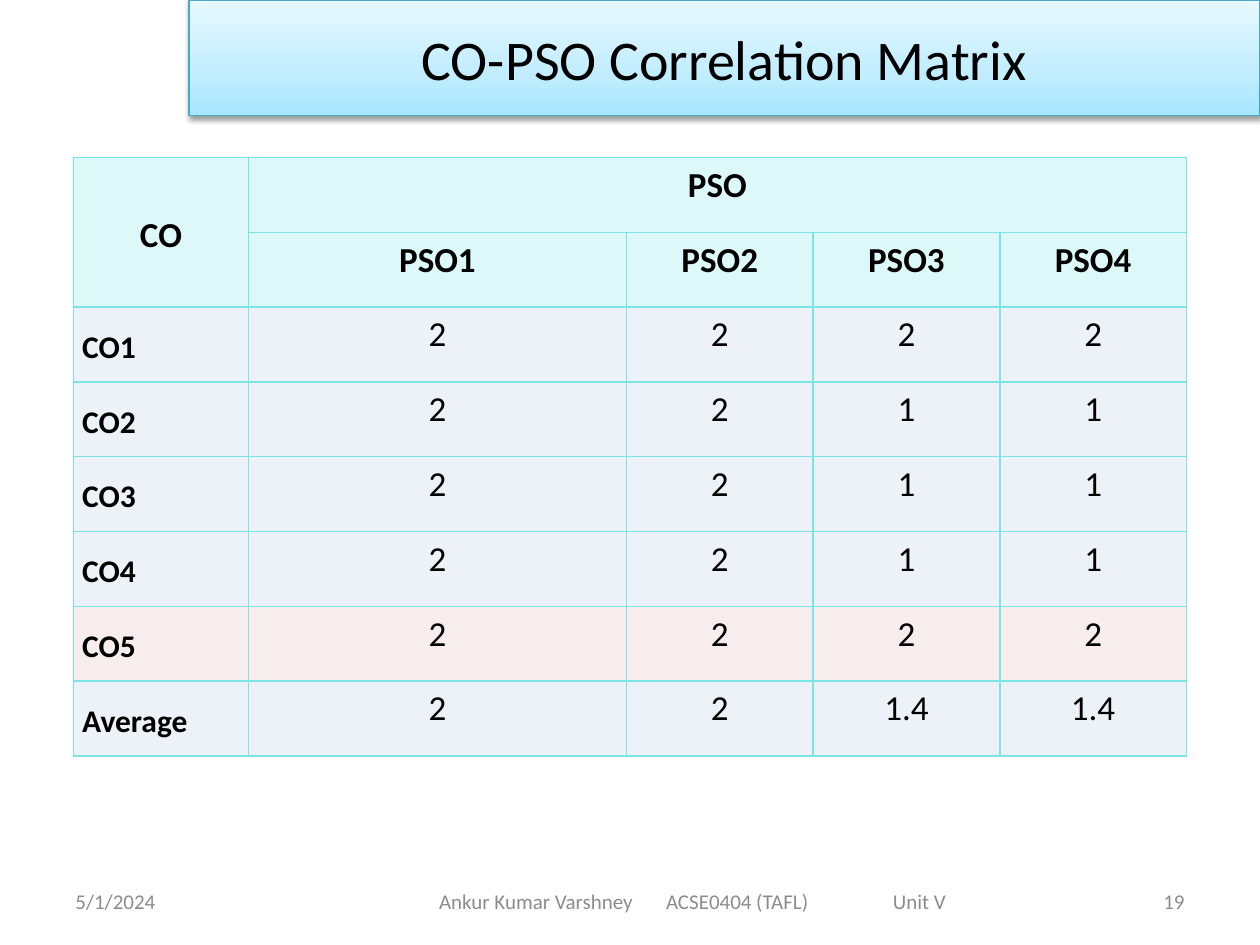
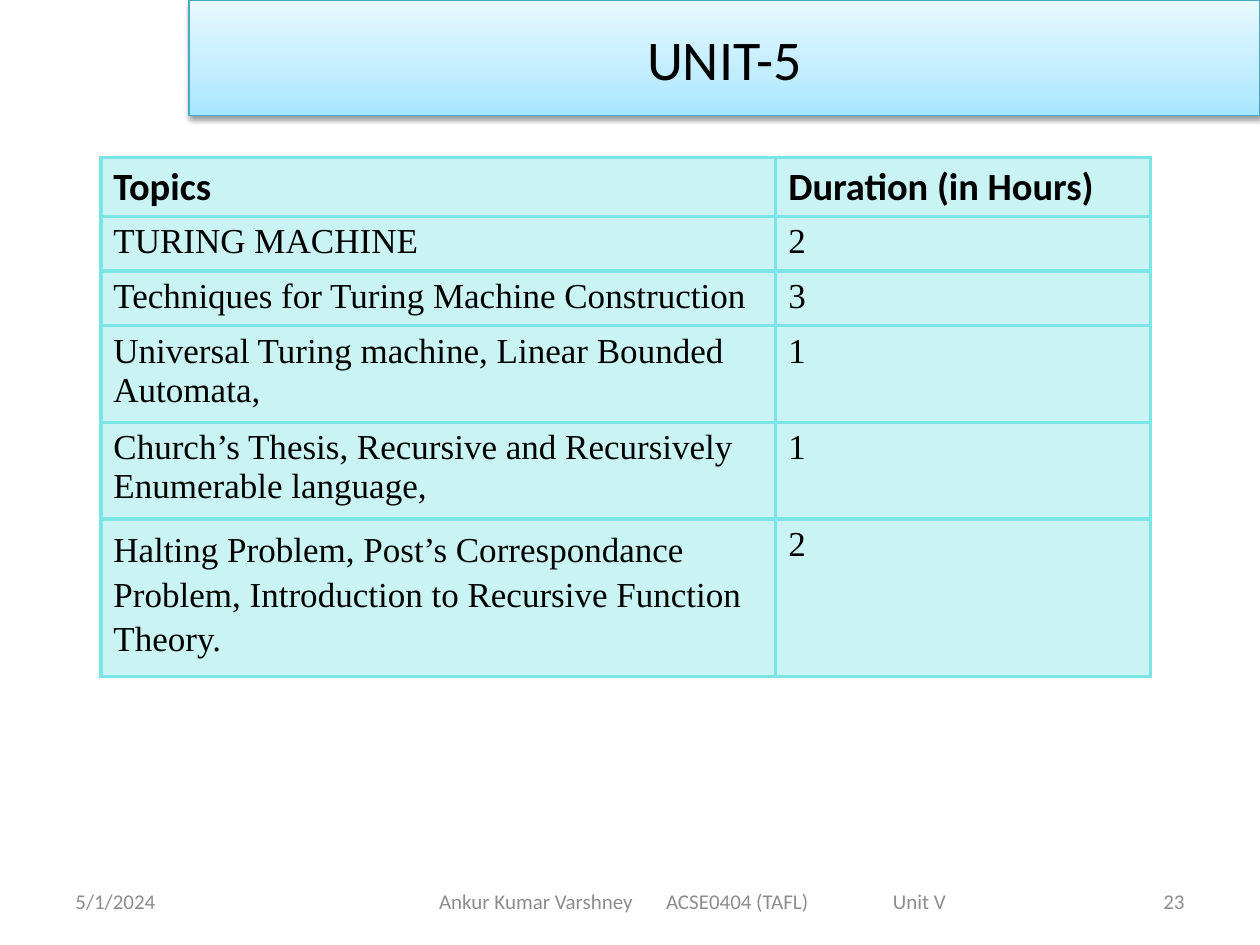
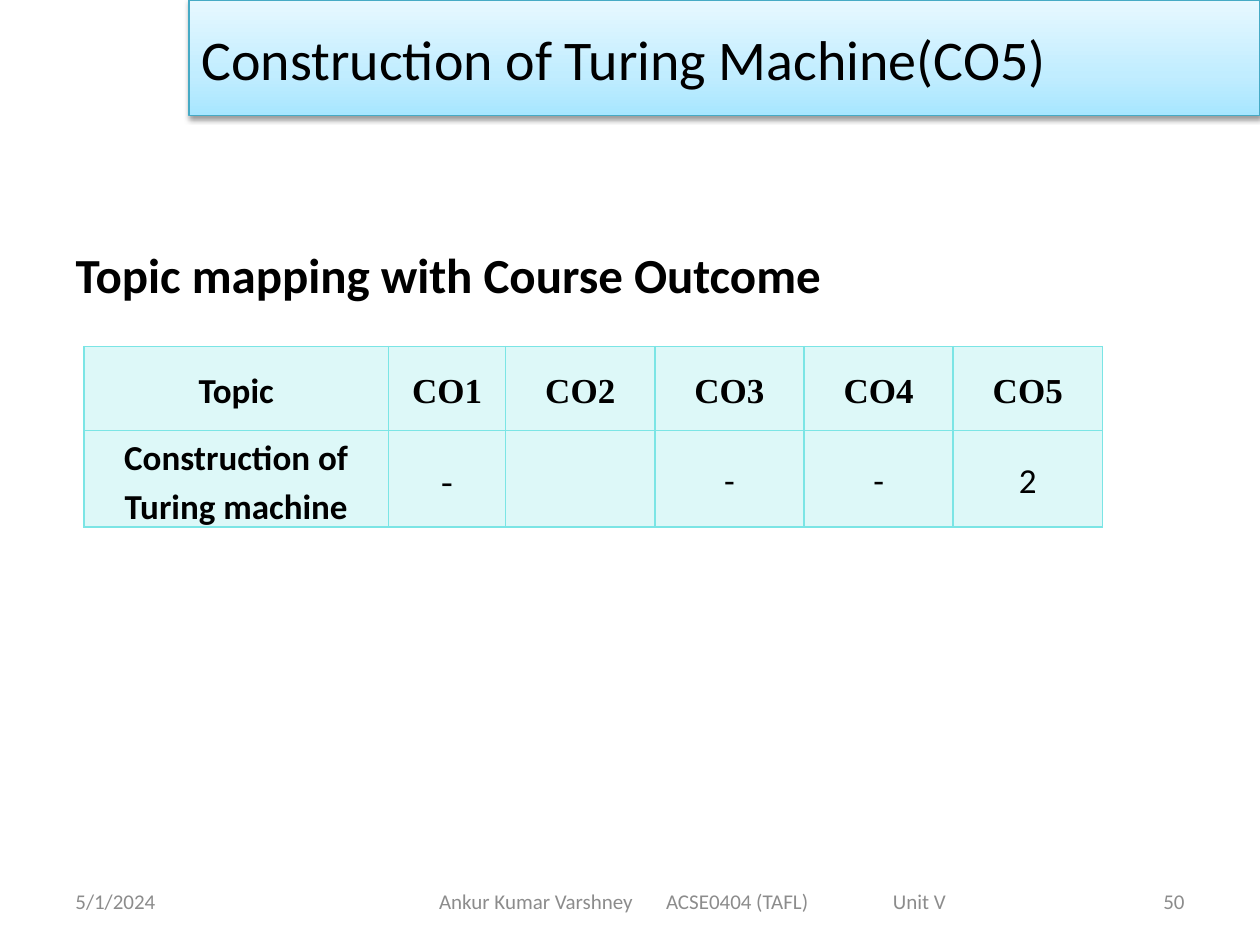
from dataclasses import dataclass

from pptx import Presentation
from pptx.dml.color import RGBColor
from pptx.enum.text import MSO_ANCHOR, MSO_AUTO_SIZE, PP_ALIGN
from pptx.oxml import parse_xml
from pptx.oxml.ns import nsdecls
from pptx.util import Pt

LEFT, CENTER, RIGHT = PP_ALIGN.LEFT, PP_ALIGN.CENTER, PP_ALIGN.RIGHT
TOP, MIDDLE = MSO_ANCHOR.TOP, MSO_ANCHOR.MIDDLE
NO_AUTOFIT = MSO_AUTO_SIZE.NONE
TITLE_AND_BODY, TITLE_ONLY = 1, 5
NS = nsdecls("a")


@dataclass(frozen=True)
class Theme:
    sans: str = "Calibri"
    serif: str = "Times New Roman"
    ink: str = "000000"
    muted: str = "8C8C8C"
    aqua: str = "7BE5E5"
    blue: str = "B9CDE5"
    rose: str = "E6B9B8"
    band_line: str = "46AAC5"
    band_stops: tuple = ((0, "A7E6FF"), (35, "C1EDFF"), (100, "E7F8FF"))
    title: int = 32
    heading: int = 28
    table_head: int = 22
    table: int = 20
    row_label: int = 18
    footer: int = 12


T = Theme()


def solid_fill(color, alpha=100):
    return (f'<a:solidFill {NS}><a:srgbClr val="{color}">'
            f'<a:alpha val="{alpha * 1000}"/></a:srgbClr></a:solidFill>')


class Deck:
    def __init__(self):
        self.prs = Presentation()
        self.prs.slide_width, self.prs.slide_height = Pt(720), Pt(540)
        self.s = None

    def slide(self, title, number, layout=TITLE_ONLY, align=CENTER):
        self.s = self.prs.slides.add_slide(self.prs.slide_layouts[layout])
        self.title_band(title, align)
        self.footer(number)

    def place(self, sp, left, top, width, height):
        sp.left, sp.top, sp.width, sp.height = Pt(left), Pt(top), Pt(width), Pt(height)

    def run(self, p, text, size, font=T.sans, bold=False, color=T.ink):
        r = p.add_run()
        r.text = text
        r.font.name, r.font.size, r.font.bold = font, Pt(size), bold
        r.font.color.rgb = RGBColor.from_string(color)

    def title_band(self, text, align):
        sp = self.s.shapes.title
        self.place(sp, 108, 0, 612, 66)
        stops = "".join(f'<a:gs pos="{pos * 1000}"><a:srgbClr val="{color}"/></a:gs>'
                        for pos, color in T.band_stops)
        props = sp._element.spPr
        props.append(parse_xml(f'<a:gradFill {NS}><a:gsLst>{stops}</a:gsLst>'
                               '<a:lin ang="16200000" scaled="0"/></a:gradFill>'))
        sp.line.color.rgb = RGBColor.from_string(T.band_line)
        sp.line.width = Pt(0.75)
        props.append(parse_xml(
            f'<a:effectLst {NS}><a:outerShdw blurRad="{Pt(3.1)}" dist="{Pt(1.6)}" '
            'dir="5400000" rotWithShape="0"><a:srgbClr val="000000">'
            '<a:alpha val="38000"/></a:srgbClr></a:outerShdw></a:effectLst>'))
        tf = sp.text_frame
        tf.auto_size, tf.vertical_anchor = NO_AUTOFIT, MIDDLE
        p = tf.paragraphs[0]
        p.alignment = align
        self.run(p, text, T.title)

    def footer_box(self, left, width, text, align):
        sp = self.s.shapes.add_textbox(Pt(left), Pt(500.5), Pt(width), Pt(28.75))
        tf = sp.text_frame
        tf.word_wrap, tf.vertical_anchor = True, MIDDLE
        p = tf.paragraphs[0]
        p.alignment = align
        self.run(p, text, T.footer, color=T.muted)
        return tf

    def footer(self, number):
        self.footer_box(36, 168, "5/1/2024", LEFT)
        tf = self.footer_box(198, 396, "Ankur Kumar Varshney\tACSE0404 (TAFL)\tUnit V", LEFT)
        tf.margin_left = Pt(52.9)
        tabs = "".join(f'<a:tab pos="{Pt(129.7 * i)}" algn="l"/>' for i in (1, 2))
        tf.paragraphs[0]._p.get_or_add_pPr().append(
            parse_xml(f'<a:tabLst {NS}>{tabs}</a:tabLst>'))
        self.footer_box(516, 168, str(number), RIGHT)

    def heading(self, text):
        sp = self.s.placeholders[1]
        self.place(sp, 36, 90, 648, 356)
        tf = sp.text_frame
        tf.auto_size, tf.vertical_anchor = NO_AUTOFIT, TOP
        tf.margin_top = Pt(49.5)
        p = tf.paragraphs[0]
        p.space_before = Pt(0)
        props = p._p.get_or_add_pPr()
        props.set("marL", "0")
        props.set("indent", "0")
        props.append(parse_xml(f'<a:buNone {NS}/>'))
        self.run(p, text, T.heading, bold=True)

    def table(self, left, top, widths, heights):
        frame = self.s.shapes.add_table(len(heights), len(widths), Pt(left), Pt(top),
                                        Pt(sum(widths)), Pt(sum(heights)))
        tbl = frame.table
        tbl.first_row = tbl.horz_banding = False
        for col, width in zip(tbl.columns, widths):
            col.width = Pt(width)
        for row, height in zip(tbl.rows, heights):
            row.height = Pt(height)
        return tbl

    def cell(self, cell, text, fill=T.aqua, alpha=25, border=1, align=CENTER,
             anchor=MIDDLE, spacing=1.15, tight=True, size=T.table, **font):
        cell.vertical_anchor = anchor
        if tight:
            cell.margin_left = cell.margin_right = Pt(5)
            cell.margin_top = cell.margin_bottom = Pt(0)
        props = cell._tc.get_or_add_tcPr()
        for side in "LRTB":
            props.append(parse_xml(f'<a:ln{side} {NS} w="{Pt(border)}">'
                                   f'{solid_fill(T.aqua)}</a:ln{side}>'))
        props.append(parse_xml(solid_fill(fill, alpha)))
        p = cell.text_frame.paragraphs[0]
        p.alignment, p.line_spacing = align, spacing
        if text:
            self.run(p, text, size, **font)


def correlation_slide(d):
    d.slide("CO-PSO Correlation Matrix", 19)
    rows = [("CO", "PSO", "", "", ""),
            ("", "PSO1", "PSO2", "PSO3", "PSO4"),
            ("CO1", "2", "2", "2", "2"),
            ("CO2", "2", "2", "1", "1"),
            ("CO3", "2", "2", "1", "1"),
            ("CO4", "2", "2", "1", "1"),
            ("CO5", "2", "2", "2", "2"),
            ("Average", "2", "2", "1.4", "1.4")]
    tbl = d.table(42, 90, [100, 216] + [106.67] * 3, [42.75] * len(rows))
    tbl.cell(0, 0).merge(tbl.cell(1, 0))
    tbl.cell(0, 1).merge(tbl.cell(0, 4))
    for i, row in enumerate(rows):
        head = i < 2
        fill = T.aqua if head else T.rose if row[0] == "CO5" else T.blue
        for j, text in enumerate(row):
            label = j == 0
            row_label = label and not head
            d.cell(tbl.cell(i, j), text, fill,
                   align=LEFT if row_label else CENTER,
                   anchor=MIDDLE if label else TOP,
                   size=T.row_label if row_label else T.table,
                   bold=head or label)


def topics_slide(d):
    d.slide("UNIT-5", 23)
    rows = [("Topics", "Duration (in Hours)"),
            ("TURING MACHINE", "2"),
            ("Techniques for Turing Machine Construction", "3"),
            ("Universal Turing machine, Linear Bounded Automata,", "1"),
            ("Church’s Thesis, Recursive and Recursively Enumerable language,", "1"),
            ("Halting Problem, Post’s Correspondance Problem, "
             "Introduction to Recursive Function Theory.", "2")]
    tbl = d.table(57.6, 90, [385.7, 214.3], [29.2] * len(rows))
    last = len(rows) - 1
    for i, row in enumerate(rows):
        head = i == 0
        for j, text in enumerate(row):
            d.cell(tbl.cell(i, j), text, alpha=40, border=2.25, align=LEFT, anchor=TOP,
                   spacing=1.15 if (i, j) == (last, 0) else 1.0, tight=False,
                   size=T.table_head if head else T.table,
                   font=T.sans if head else T.serif, bold=head)


def mapping_slide(d):
    d.slide("Construction of Turing Machine(CO5)", 50, TITLE_AND_BODY, LEFT)
    d.heading("Topic mapping with Course Outcome")
    rows = [("Topic", "CO1", "CO2", "CO3", "CO4", "CO5"),
            ("Construction of Turing machine", "-", "", "-", "-", "2")]
    tbl = d.table(48, 198, [174, 67] + [85.25] * 4, [48, 54])
    for i, row in enumerate(rows):
        for j, text in enumerate(row):
            serif = j == 1 or (i == 0 and j > 0)
            d.cell(tbl.cell(i, j), text, font=T.serif if serif else T.sans,
                   bold=i == 0 or j == 0)


def main():
    d = Deck()
    correlation_slide(d)
    topics_slide(d)
    mapping_slide(d)
    d.prs.save("out.pptx")


if __name__ == "__main__":
    main()
